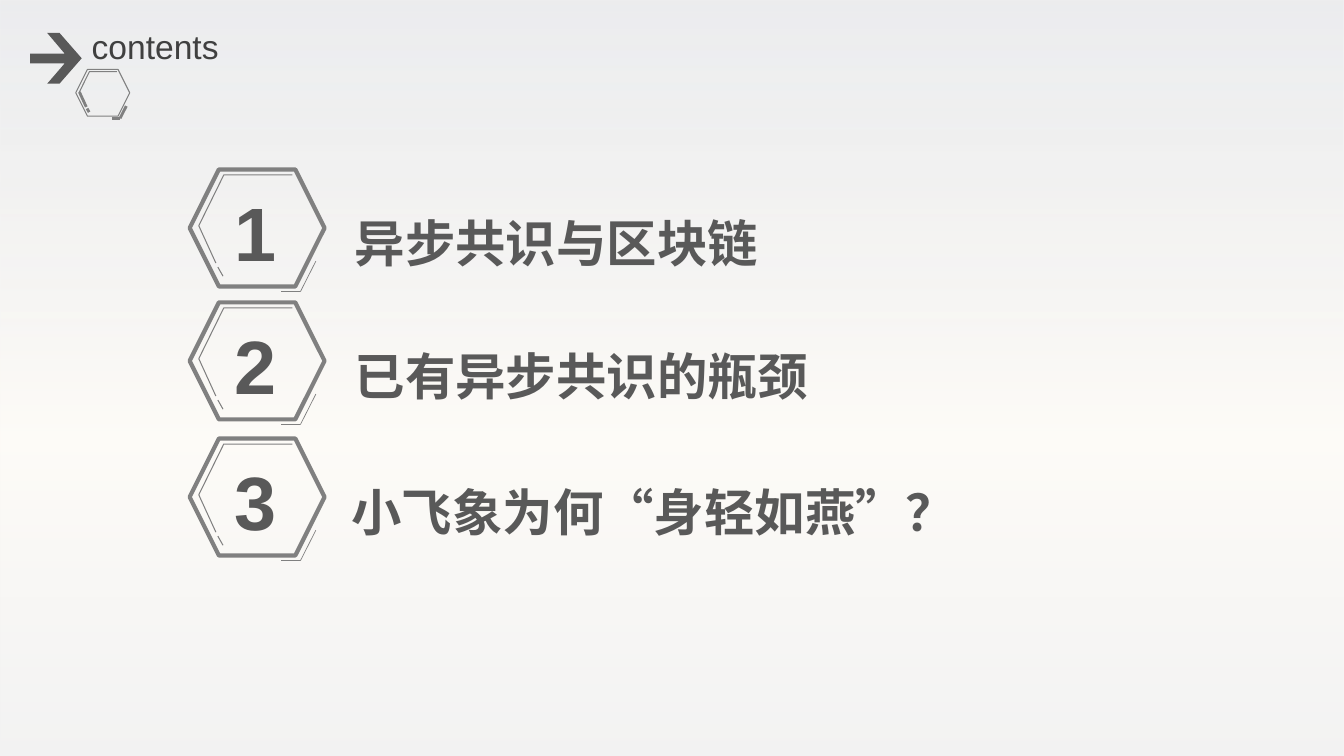
from lxml import etree
from pptx import Presentation
from pptx.dml.color import RGBColor
from pptx.enum.shapes import MSO_CONNECTOR as CONN, MSO_SHAPE as SHAPE
from pptx.enum.text import MSO_AUTO_SIZE as AUTO
from pptx.oxml import parse_xml
from pptx.oxml.ns import nsdecls, qn
from pptx.util import Cm, Pt

COLORS = {
    "outline": "808080",
    "heading": "595959",
    "title": "404040",
    "sky": "E7E8EA",
    "cream": "FDFBF7",
    "mist": "F2F2F2",
}
FONT = "Arial"
WIDTH, HEIGHT = 33.87, 19.05

ELBOW = [(0.23, 1.42), (0.86, 0.14), (2.59, 0.14)]
ACCENTS = [
    ((0.23, 1.42), (0.66, 2.36), 0.75),
    ((0.71, 2.46), (0.84, 2.69), 0.75),
    ((2.31, 3.07), (2.79, 3.07), 0.5),
    ((3.18, 2.31), (2.79, 3.08), 0.5),
]
ARROW = [(1.19, 0.83), (1.5, 0.83), (2.06, 1.47), (1.5, 2.11), (1.19, 2.11),
         (1.63, 1.6), (0.76, 1.6), (0.76, 1.35), (1.63, 1.35)]

ITEMS = [
    ("1", "异步共识与区块链", 4.27, 8.69, 10.67),
    ("2", "已有异步共识的瓶颈", 7.62, 8.69, 11.94),
    ("3", "小飞象为何“身轻如燕”？", 11.05, 8.61, 14.48),
]


class Deck:
    def __init__(self, slide, colors, font):
        self.s = slide
        self.colors = colors
        self.font = font

    def rgb(self, name):
        return RGBColor.from_string(self.colors[name])

    def finish(self, sp, fill=None, line=None, width=0):
        sp.shadow.inherit = False
        if fill:
            sp.fill.solid()
            sp.fill.fore_color.rgb = self.rgb(fill)
        else:
            sp.fill.background()
        if line:
            sp.line.color.rgb = self.rgb(line)
            sp.line.width = Pt(width)
        else:
            sp.line.fill.background()
        return sp

    def shape(self, kind, x, y, w, h, **style):
        sp = self.s.shapes.add_shape(kind, Cm(x), Cm(y), Cm(w), Cm(h))
        return self.finish(sp, **style)

    def backdrop(self, stops):
        sp = self.shape(SHAPE.RECTANGLE, 0, 0, WIDTH, HEIGHT)
        marks = "".join(
            f'<a:gs pos="{pos * 1000}"><a:srgbClr val="{self.colors[name]}">'
            f'<a:alpha val="{alpha * 1000}"/></a:srgbClr></a:gs>'
            for pos, name, alpha in stops)
        grad = parse_xml(
            f'<a:gradFill {nsdecls("a")} rotWithShape="1"><a:gsLst>{marks}</a:gsLst>'
            '<a:lin ang="5400000" scaled="0"/></a:gradFill>')
        props = sp.element.spPr
        props.replace(props.find(qn("a:noFill")), grad)

    def outline(self, points, close=False, **style):
        pts = [(Cm(x), Cm(y)) for x, y in points]
        fb = self.s.shapes.build_freeform(*pts[0])
        fb.add_line_segments(pts[1:], close=close)
        return self.finish(fb.convert_to_shape(), **style)

    def line(self, start, end, color, width):
        c = self.s.shapes.add_connector(
            CONN.STRAIGHT, *(Cm(v) for v in (*start, *end)))
        c.line.color.rgb = self.rgb(color)
        c.line.width = Pt(width)
        etree.SubElement(c.element.spPr, qn("a:effectLst"))

    def text(self, words, x, y, w, h, size, color, bold=False):
        tb = self.s.shapes.add_textbox(Cm(x), Cm(y), Cm(w), Cm(h))
        tf = tb.text_frame
        tf.word_wrap = False
        tf.auto_size = AUTO.SHAPE_TO_FIT_TEXT
        p = tf.paragraphs[0]
        r = p.add_run()
        r.text = words
        r.font.name = self.font
        r.font.size = Pt(size)
        r.font.bold = bold
        r.font.color.rgb = self.rgb(color)

    def badge(self, x, y, scale=1, hairline=False):
        def place(point):
            return x + point[0] * scale, y + point[1] * scale

        def weight(width):
            return 0 if hairline else width

        self.shape(SHAPE.HEXAGON, x, y, 3.4 * scale, 2.95 * scale,
                   line="outline", width=weight(3))
        self.outline([place(pt) for pt in ELBOW],
                     line="outline", width=weight(0.75))
        for start, end, width in ACCENTS:
            self.line(place(start), place(end), "outline", weight(width))


def main():
    prs = Presentation()
    prs.slide_width, prs.slide_height = Cm(WIDTH), Cm(HEIGHT)
    deck = Deck(prs.slides.add_slide(prs.slide_layouts[6]), COLORS, FONT)

    deck.backdrop([(0, "sky", 78), (58, "cream", 100), (100, "mist", 100)])
    for number, topic, top, left, width in ITEMS:
        deck.badge(4.78, top)
        deck.text(number, 5.66, top + 0.28, 1.57, 2.57, 54, "heading", True)
        deck.text(topic, left, top + 0.94, width, 1.8, 36, "heading", True)

    deck.text("contents", 2.06, 0.53, 3.71, 1.27, 24, "title")
    deck.outline(ARROW, close=True, fill="heading")
    deck.badge(1.91, 1.75, scale=0.4, hairline=True)
    prs.save("out.pptx")


if __name__ == "__main__":
    main()
